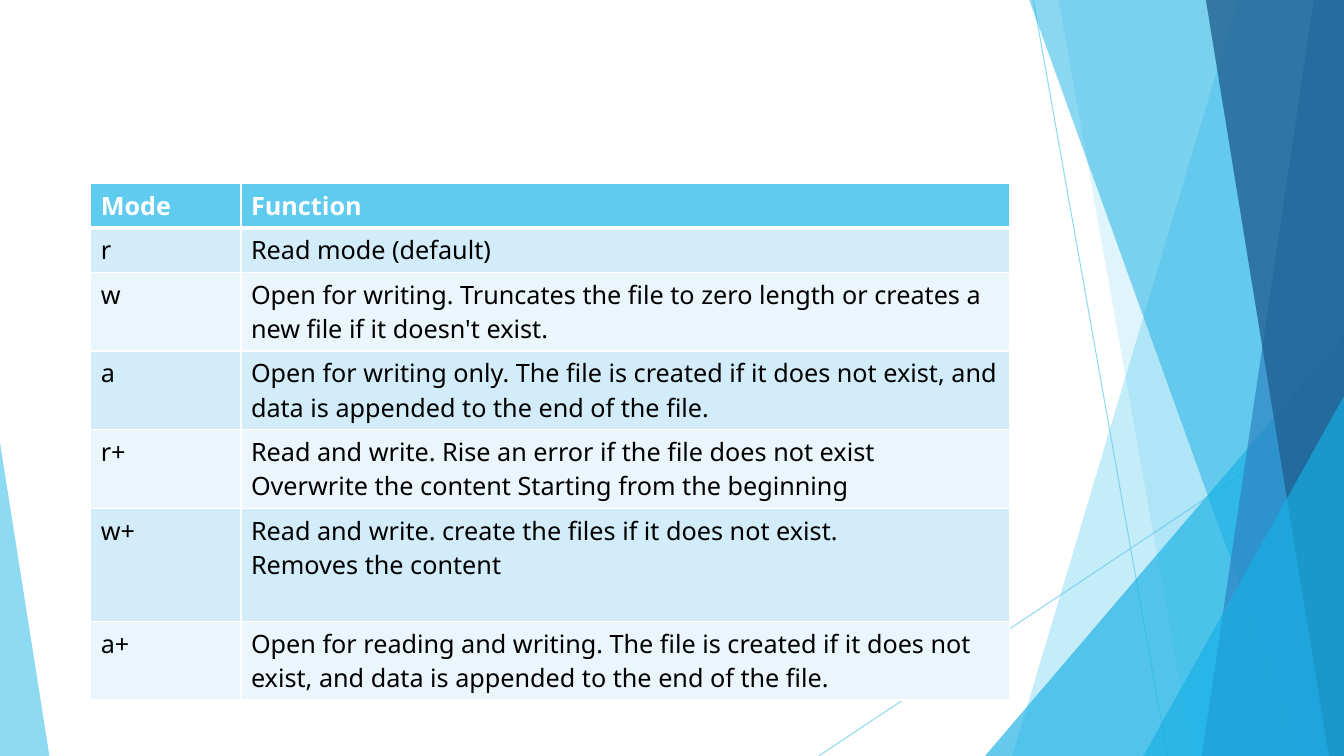
from lxml import etree
from pptx import Presentation
from pptx.dml.color import RGBColor
from pptx.enum.shapes import MSO_CONNECTOR, MSO_SHAPE
from pptx.oxml.ns import qn
from pptx.util import Inches, Pt

STRAIGHT = MSO_CONNECTOR.STRAIGHT
TRIANGLE = MSO_SHAPE.ISOSCELES_TRIANGLE

WHITE = RGBColor(0xFF, 0xFF, 0xFF)
BLACK = RGBColor(0x00, 0x00, 0x00)
SKY = RGBColor(0x5F, 0xCB, 0xEF)
CYAN = RGBColor(0x17, 0xB0, 0xE4)
BLUE = RGBColor(0x2E, 0x83, 0xC3)
NAVY = RGBColor(0x22, 0x62, 0x92)
BAND_DARK = RGBColor(0xD2, 0xEC, 0xF9)
BAND_LIGHT = RGBColor(0xEA, 0xF6, 0xFC)

HEADER_FONT = {"name": "Noto Sans", "size": Pt(18), "bold": True}
BODY_FONT = {"name": "Noto Sans", "size": Pt(18), "bold": False}

# Row heights, in percent of the slide height
ONE_LINE, TWO_LINES, THREE_LINES = 5.87, 10.4, 14.93

MODES = [
    ("Mode", "Function", ONE_LINE),
    ("r", "Read mode (default)", ONE_LINE),
    ("w", "Open for writing. Truncates the file to zero length or creates a "
          "new file if it doesn't exist.", TWO_LINES),
    ("a", "Open for writing only. The file is created if it does not exist, "
          "and data is appended to the end of the file.", TWO_LINES),
    ("r+", "Read and write. Rise an error if the file does not exist\n"
           "Overwrite the content Starting from the beginning", TWO_LINES),
    ("w+", "Read and write. create the files if it does not exist.\n"
           "Removes the content", THREE_LINES),
    ("a+", "Open for reading and writing. The file is created if it does not "
           "exist, and data is appended to the end of the file.", TWO_LINES),
]


class SlideBuilder:
    """Draws on one slide; all lengths are percent of its width or height."""

    def __init__(self, prs):
        self.width, self.height = prs.slide_width, prs.slide_height
        self.shapes = prs.slides.add_slide(prs.slide_layouts[6]).shapes

    def x(self, share):
        return round(self.width * share / 100)

    def y(self, share):
        return round(self.height * share / 100)

    def set_opacity(self, sp, percent):
        color = next(sp._element.spPr.iter(qn("a:srgbClr")))
        etree.SubElement(color, qn("a:alpha"), val=str(percent * 1000))

    def paint(self, sp, color, opacity):
        sp.shadow.inherit = False
        sp.fill.solid()
        sp.fill.fore_color.rgb = color
        sp.line.fill.background()
        self.set_opacity(sp, opacity)

    def ray(self, x1, y1, x2, y2):
        """Thin translucent line."""
        line = self.shapes.add_connector(
            STRAIGHT, self.x(x1), self.y(y1), self.x(x2), self.y(y2))
        line.line.width = Pt(0.75)
        line.line.color.rgb = SKY
        self.set_opacity(line, 70)
        etree.SubElement(line._element.spPr, qn("a:effectLst"))

    def band(self, top, bottom, color, opacity):
        """Full-height area from a slanted left side to the right edge."""
        left_top, left_bottom = self.x(top), self.x(bottom)
        ff = self.shapes.build_freeform(left_top, 0)
        ff.add_line_segments([(self.width, 0), (self.width, self.height),
                              (left_bottom, self.height)], close=True)
        self.paint(ff.convert_to_shape(), color, opacity)

    def corner(self, left, top, width, peak, color, opacity):
        """Right triangle standing on the bottom edge; peak 0 left, 1 right."""
        sp = self.shapes.add_shape(TRIANGLE, self.x(left), self.y(top),
                                   self.x(width), self.y(100 - top))
        sp.adjustments[0] = peak
        self.paint(sp, color, opacity)

    def border(self, cell, **widths):
        tc_pr = cell._tc.get_or_add_tcPr()
        for side in "LRTB":
            ln = etree.SubElement(tc_pr, qn(f"a:ln{side}"),
                                  w=str(Pt(widths.get(side, 1))))
            fill = etree.SubElement(ln, qn("a:solidFill"))
            etree.SubElement(fill, qn("a:srgbClr"), val=str(WHITE))

    def cell(self, cell, text, fill, color, font, **widths):
        self.border(cell, **widths)
        cell.fill.solid()
        cell.fill.fore_color.rgb = fill
        cell.text = text
        for p in cell.text_frame.paragraphs:
            for r in p.runs:
                r.font.color.rgb = color
                for name, value in font.items():
                    setattr(r.font, name, value)

    def table(self, left, top, columns, rows):
        """Each row is its cell texts followed by its height."""
        height = sum(row[-1] for row in rows)
        table = self.shapes.add_table(
            len(rows), len(columns), self.x(left), self.y(top),
            self.x(sum(columns)), self.y(height)).table
        table.horz_banding = False
        for column, share in zip(table.columns, columns):
            column.width = self.x(share)
        for i, (*texts, share) in enumerate(rows):
            table.rows[i].height = self.y(share)
            if i == 0:
                style = dict(fill=SKY, color=WHITE, font=HEADER_FONT, B=3)
            else:
                style = dict(fill=BAND_DARK if i % 2 else BAND_LIGHT,
                             color=BLACK, font=BODY_FONT, T=3 if i == 1 else 1)
            for j, text in enumerate(texts):
                self.cell(table.cell(i, j), text, **style)


def main():
    prs = Presentation()
    prs.slide_width, prs.slide_height = Inches(13.33), Inches(7.5)
    s = SlideBuilder(prs)

    s.ray(76.89, 0, 86.87, 100)
    s.ray(100, 53.73, 60.92, 100)
    s.band(92.12, 75.32, SKY, 36)
    s.band(78.77, 88.75, SKY, 20)
    s.corner(73.29, 44.4, 26.71, 1, CYAN, 66)
    s.band(76.59, 96.85, CYAN, 50)
    s.band(97.75, 89.42, BLUE, 70)
    s.band(89.72, 98.87, NAVY, 80)
    s.corner(85.07, 52.4, 14.93, 1, CYAN, 66)
    s.corner(0, 58.53, 3.68, 0, SKY, 70)

    s.table(6.75, 24.27, [11.18, 57.16], MODES)
    prs.save("out.pptx")


if __name__ == "__main__":
    main()
